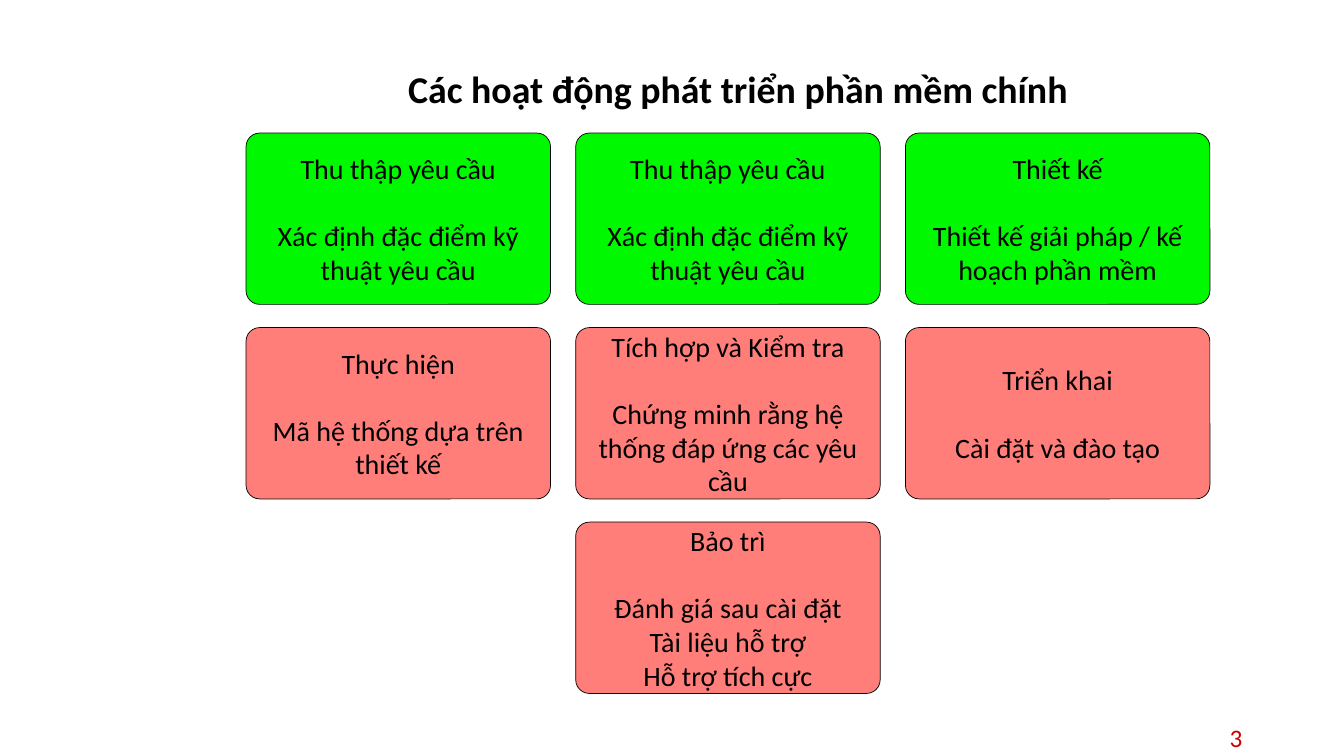
from pptx import Presentation
from pptx import util as u
from pptx.dml import color
from pptx.enum import shapes, text

COLORS = {"ink": "000000", "done": "00F900", "ahead": "FF7E79", "number": "CC0000"}

ACTIVITIES = [
    (0, 0, "done", "Thu thập yêu cầu", ["Xác định đặc điểm kỹ thuật yêu cầu"]),
    (1, 0, "done", "Thu thập yêu cầu", ["Xác định đặc điểm kỹ thuật yêu cầu"]),
    (2, 0, "done", "Thiết kế", ["Thiết kế giải pháp / kế hoạch phần mềm"]),
    (0, 1, "ahead", "Thực hiện", ["Mã hệ thống dựa trên thiết kế"]),
    (1, 1, "ahead", "Tích hợp và Kiểm tra", ["Chứng minh rằng hệ thống đáp ứng các yêu cầu"]),
    (2, 1, "ahead", "Triển khai", ["Cài đặt và đào tạo"]),
    (1, 2, "ahead", "Bảo trì",
     ["Đánh giá sau cài đặt", "Tài liệu hỗ trợ", "Hỗ trợ tích cực"]),
]


class ActivitySlide:
    font = "Calibri"
    grid_left, grid_top = 2.44, 1.32
    column_step, row_step = 3.27, 1.93
    card_width, card_height = 3.02, 1.7

    def __init__(self, deck):
        self.slide = deck.slides.add_slide(deck.slide_layouts[5])

    def rgb(self, name):
        return color.RGBColor.from_string(COLORS[name])

    def set_text(self, frame, lines, size, ink="ink", bold=False,
                 align=text.PP_ALIGN.CENTER):
        frame.text = "\n".join(lines)
        frame.word_wrap = True
        frame.auto_size = text.MSO_AUTO_SIZE.NONE
        frame.vertical_anchor = text.MSO_ANCHOR.MIDDLE
        for paragraph in frame.paragraphs:
            paragraph.alignment = align
            for run in paragraph.runs:
                run.font.name = self.font
                run.font.size = u.Pt(size)
                run.font.bold = bold
                run.font.color.rgb = self.rgb(ink)

    def title(self, wording):
        heading = self.slide.shapes.title
        heading.left, heading.top = u.Inches(2.23), u.Inches(0.4)
        heading.width, heading.height = u.Inches(10.18), u.Inches(1.02)
        self.set_text(heading.text_frame, [wording], 27, bold=True)
        heading.text_frame.paragraphs[0].line_spacing = 0.9

    def card(self, column, row, fill, activity, details):
        card = self.slide.shapes.add_shape(
            shapes.MSO_SHAPE.ROUNDED_RECTANGLE,
            u.Inches(self.grid_left + column * self.column_step),
            u.Inches(self.grid_top + row * self.row_step),
            u.Inches(self.card_width), u.Inches(self.card_height))
        card.adjustments[0] = 0.08
        card.shadow.inherit = False
        card.fill.solid()
        card.fill.fore_color.rgb = self.rgb(fill)
        card.line.color.rgb = self.rgb("ink")
        card.line.width = u.Pt(0.5)
        frame = card.text_frame
        frame.margin_left = frame.margin_right = 0
        frame.margin_top = frame.margin_bottom = 0
        self.set_text(frame, [activity, *details], 20)
        frame.paragraphs[1].space_before = u.Pt(24)

    def page_number(self, number):
        box = self.slide.shapes.add_textbox(
            u.Inches(9.42), u.Inches(7.14), u.Inches(3), u.Inches(0.36))
        self.set_text(box.text_frame, [number], 18, "number",
                      align=text.PP_ALIGN.RIGHT)


def main():
    deck = Presentation()
    deck.slide_width, deck.slide_height = u.Inches(13.33), u.Inches(7.5)
    page = ActivitySlide(deck)
    page.title("Các hoạt động phát triển phần mềm chính")
    for activity in ACTIVITIES:
        page.card(*activity)
    page.page_number("3")
    deck.save("out.pptx")


if __name__ == "__main__":
    main()
